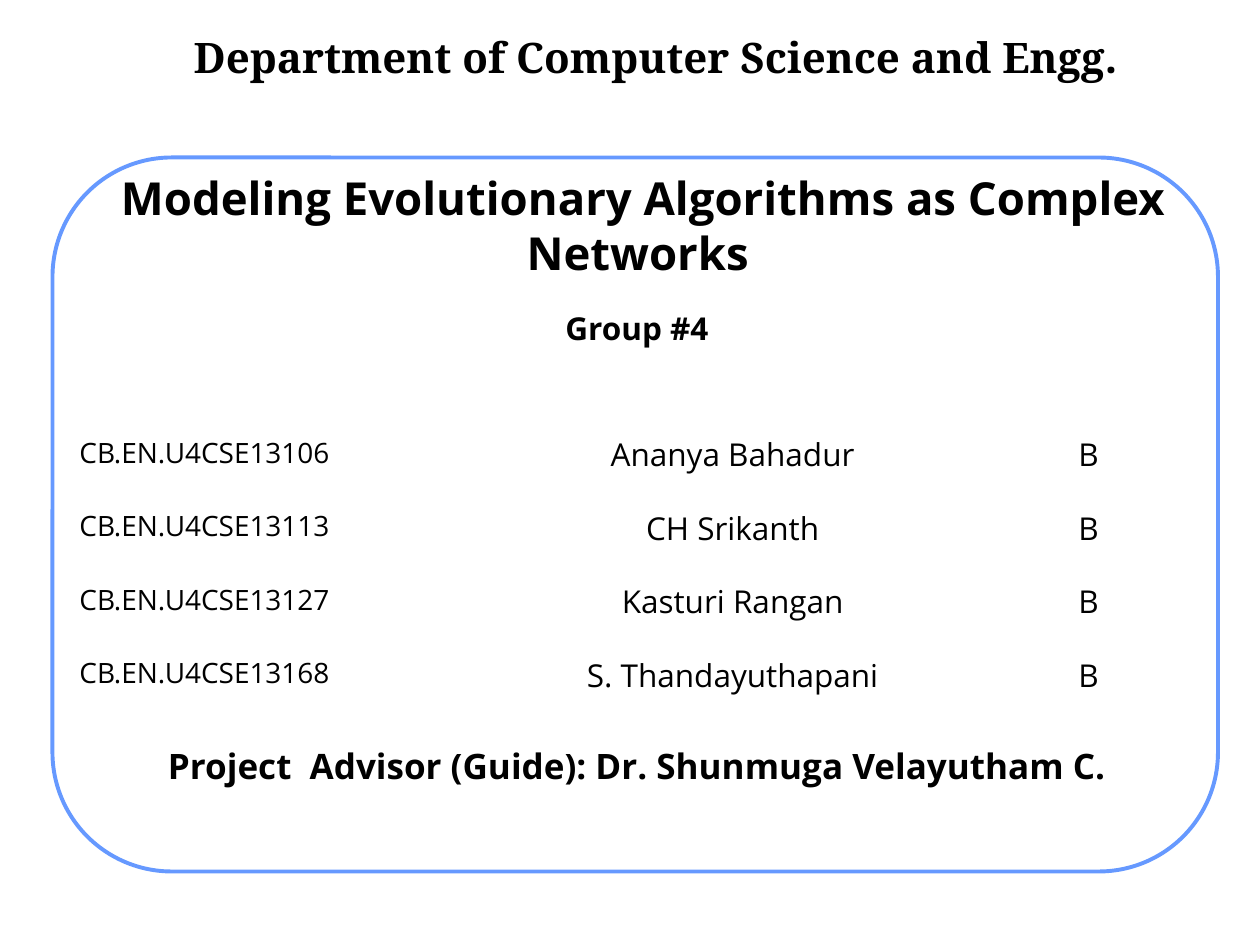
from collections import namedtuple

from pptx import Presentation
from pptx.dml.color import RGBColor
from pptx.enum.shapes import MSO_SHAPE
from pptx.enum.text import MSO_ANCHOR, MSO_AUTO_SIZE, PP_ALIGN
from pptx.util import Pt

ROUNDED = MSO_SHAPE.ROUNDED_RECTANGLE
TOP, MIDDLE = MSO_ANCHOR.TOP, MSO_ANCHOR.MIDDLE
LEFT, CENTER = PP_ALIGN.LEFT, PP_ALIGN.CENTER
NO_AUTOFIT = MSO_AUTO_SIZE.NONE

BLACK = RGBColor(0x00, 0x00, 0x00)
WHITE = RGBColor(0xFF, 0xFF, 0xFF)
BLUE = RGBColor(0x66, 0x99, 0xFF)
SANS, SERIF = "Open Sans", "Noto Serif"

Box = namedtuple("Box", "left top width height")

STUDENTS = [
    ("CB.EN.U4CSE13106", "Ananya Bahadur", "B"),
    ("CB.EN.U4CSE13113", "CH Srikanth", "B"),
    ("CB.EN.U4CSE13127", "Kasturi Rangan", "B"),
    ("CB.EN.U4CSE13168", "S. Thandayuthapani", "B"),
]
COLUMN_SHARES = (0.297, 0.595, 0.108)
COLUMN_FORMATS = (
    {"size": 16, "align": LEFT},
    {"size": 18, "align": CENTER},
    {"size": 18, "align": LEFT},
)


def write(paragraph, text, size, font=SANS, bold=False, align=CENTER,
          spacing=1.0, before=0):
    paragraph.alignment = align
    paragraph.line_spacing = spacing
    paragraph.space_before = Pt(before)
    run = paragraph.add_run()
    run.text = text
    run.font.name = font
    run.font.size = Pt(size)
    run.font.bold = bold
    run.font.color.rgb = BLACK


def place(holder, box, anchor=TOP, inset=3.6, inset_top=3.6):
    holder.left, holder.top = Pt(box.left), Pt(box.top)
    holder.width, holder.height = Pt(box.width), Pt(box.height)
    frame = holder.text_frame
    frame.word_wrap = True
    frame.auto_size = NO_AUTOFIT
    frame.vertical_anchor = anchor
    frame.margin_left = frame.margin_right = Pt(inset)
    frame.margin_top, frame.margin_bottom = Pt(inset_top), Pt(3.6)
    return frame


def add_border(slide, box):
    border = slide.shapes.add_shape(ROUNDED, *map(Pt, box))
    border.adjustments[0] = 0.167
    border.shadow.inherit = False
    border.fill.solid()
    border.fill.fore_color.rgb = WHITE
    border.line.color.rgb = BLUE
    border.line.width = Pt(2.25)
    slide.shapes._spTree.insert(2, border._element)


def add_department(slide, box):
    department = slide.shapes.add_textbox(*map(Pt, box))
    frame = place(department, box, inset=7.2)
    write(frame.paragraphs[0], "Department of Computer Science and Engg.", 24,
          font=SERIF, bold=True)


def fill_title(slide, box):
    frame = place(slide.shapes.title, box, anchor=MIDDLE)
    write(frame.paragraphs[0],
          " Modeling Evolutionary Algorithms as Complex Networks", 26, bold=True)


def fill_group_and_advisor(slide, box):
    frame = place(slide.placeholders[1], box, inset_top=37)
    write(frame.paragraphs[0], "Group #4", 18, bold=True, spacing=0.8)
    write(frame.add_paragraph(),
          "Project  Advisor (Guide): Dr. Shunmuga Velayutham C.", 20,
          bold=True, spacing=0.8, before=232)


def add_students(slide, box):
    students = slide.shapes.add_table(
        len(STUDENTS), len(COLUMN_SHARES), *map(Pt, box)).table
    students.first_row = students.horz_banding = False
    for column, share in zip(students.columns, COLUMN_SHARES):
        column.width = Pt(box.width * share)
    for row, student in zip(students.rows, STUDENTS):
        row.height = Pt(box.height / len(STUDENTS))
        for cell, text, text_format in zip(row.cells, student, COLUMN_FORMATS):
            cell.fill.background()
            write(cell.text_frame.paragraphs[0], text, **text_format)


def main():
    deck = Presentation()
    deck.slide_width, deck.slide_height = Pt(720), Pt(540)
    slide = deck.slides.add_slide(deck.slide_layouts[0])
    add_border(slide, Box(30, 90, 666, 408))
    fill_title(slide, Box(58.5, 89.5, 612, 78))
    fill_group_and_advisor(slide, Box(49, 144, 630, 349))
    add_department(slide, Box(101, 14.4, 547, 39.6))
    add_students(slide, Box(38.2, 244, 640, 168))
    deck.save("out.pptx")


if __name__ == "__main__":
    main()
